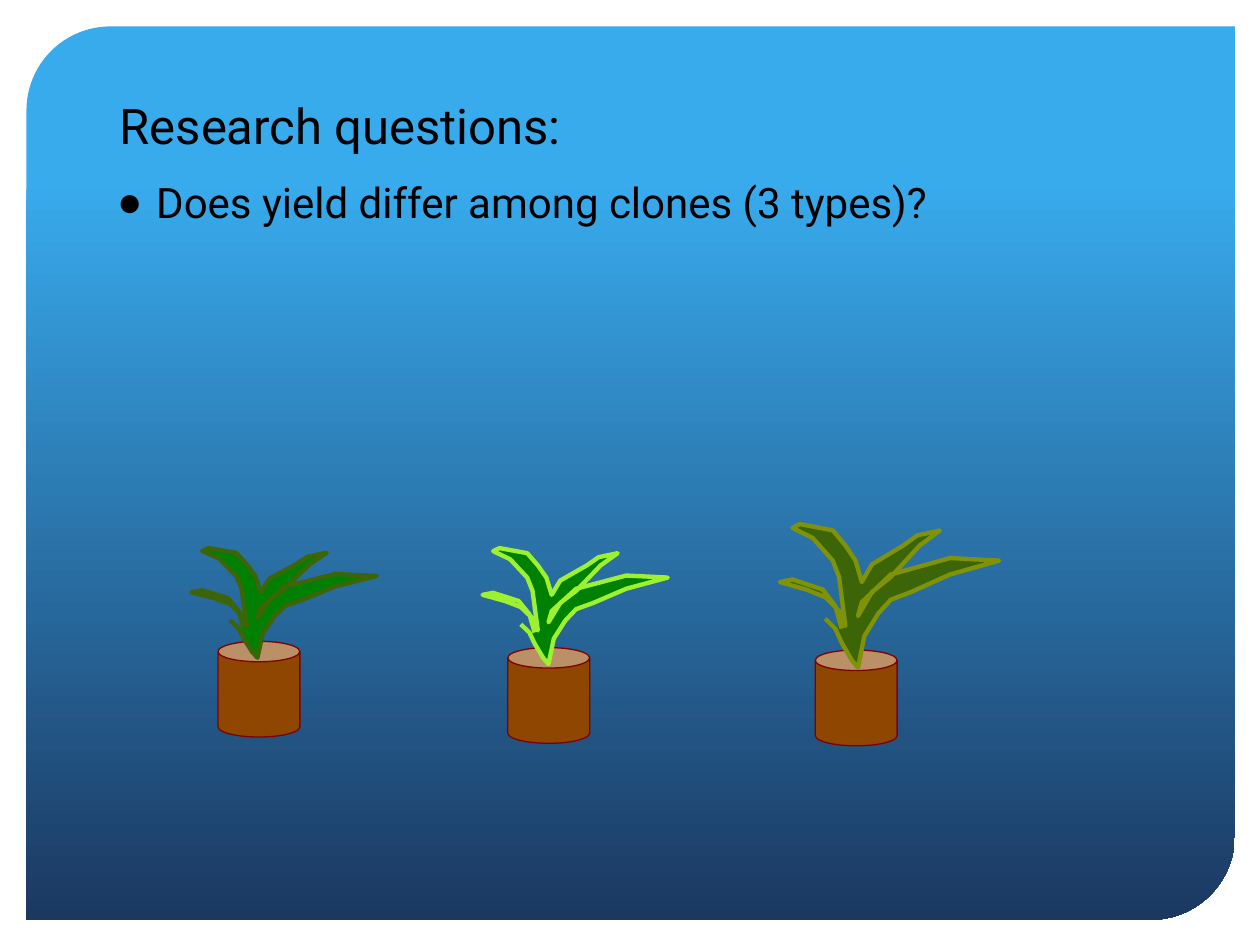
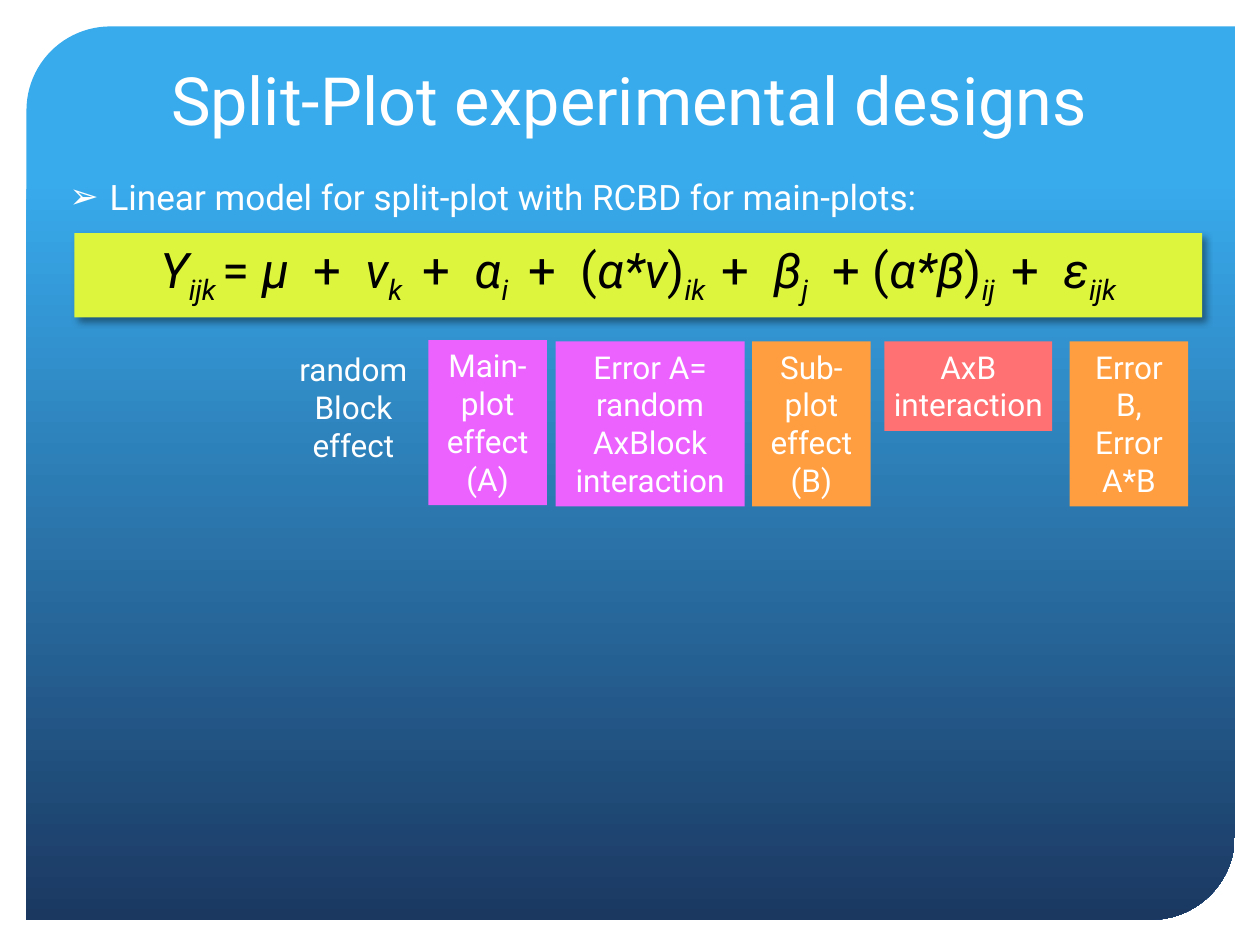
"""Build two slides on split-plot experiments: research question and linear model."""
import dataclasses
import enum
import typing

import lxml.etree
import pptx
import pptx.dml.color
import pptx.enum.shapes
import pptx.enum.text
import pptx.oxml.ns
import pptx.util

Inches = pptx.util.Inches
Pt = pptx.util.Pt
MSO_SHAPE = pptx.enum.shapes.MSO_SHAPE
PP_ALIGN = pptx.enum.text.PP_ALIGN
MSO_ANCHOR = pptx.enum.text.MSO_ANCHOR
qn = pptx.oxml.ns.qn


@dataclasses.dataclass(frozen=True)
class Theme:
    font: str = "Roboto"
    black: str = "000000"
    white: str = "FFFFFF"
    panel_top: str = "38ABED"
    panel_bottom: str = "1B3861"
    pot: str = "8F4600"
    pot_edge: str = "800000"
    leaf: str = "008000"
    olive: str = "3C6507"
    lime: str = "9DF131"
    moss: str = "809207"
    equation: str = "DDF53D"
    main_plot: str = "EB62FF"
    sub_plot: str = "FF9E40"
    interaction: str = "FF7172"
    title_size: int = 38
    heading_size: int = 28
    question_size: int = 24
    list_size: int = 20
    label_size: int = 18


THEME = Theme()


class Box(typing.NamedTuple):
    left: float
    top: float
    width: float
    height: float

    def lengths(self) -> list[int]:
        return [Inches(value) for value in self]


class Plant(typing.NamedTuple):
    pot_left: float
    pot_top: float
    leaves: Box
    fill: str
    edge: str


class Label(typing.NamedTuple):
    box: Box
    lines: tuple[str, ...]
    fill: str | None
    side_inset: float = 0.1


class Bullet(typing.NamedTuple):
    character: str
    level: int
    indent: float
    hanging: float


class Term(enum.Enum):
    """Equation run kinds as italic, subscript and extra spacing in points."""
    VARIABLE = (True, False, 0)
    SIGN = (False, False, 0)
    INDEX = (True, True, 0)
    WIDE = (False, False, 7)
    MEDIUM = (False, False, 4.6)
    NARROW = (False, False, 2.3)


TITLE_BOX = Box(0.85, 0.42, 8.29, 1.14)
LEAF_GRID = (174, 114)
LEAF_OUTLINE = (
    (49, 83), (44, 65), (34, 52), (10, 44), (0, 46), (21, 52), (36, 58), (47, 69),
    (52, 81), (47, 42), (42, 29), (26, 11), (10, 3), (16, 0), (42, 5), (52, 17),
    (60, 29), (65, 46), (73, 32), (98, 17), (109, 9), (127, 5), (111, 17), (88, 42),
    (73, 54), (62, 73), (65, 62), (88, 40), (135, 27), (174, 29), (135, 40), (104, 54),
    (88, 60), (78, 71), (67, 89), (62, 114), (57, 108), (49, 94), (44, 83), (36, 75),
)
PLANTS = (
    Plant(1.73, 5.09, Box(1.52, 4.35, 1.47, 0.87), THEME.leaf, THEME.olive),
    Plant(4.03, 5.14, Box(3.83, 4.35, 1.47, 0.92), THEME.leaf, THEME.lime),
    Plant(6.47, 5.16, Box(6.19, 4.16, 1.74, 1.14), THEME.olive, THEME.moss),
)
EQUATION = (
    ("Y", Term.VARIABLE), ("ijk ", Term.INDEX), ("= ", Term.SIGN),
    ("μ", Term.VARIABLE), (" ", Term.WIDE), ("+", Term.SIGN), (" ", Term.WIDE),
    ("ν", Term.VARIABLE), ("k", Term.INDEX), (" ", Term.MEDIUM),
    ("+", Term.SIGN), (" ", Term.WIDE),
    ("α", Term.VARIABLE), ("i", Term.INDEX), (" ", Term.MEDIUM),
    ("+", Term.SIGN), (" ", Term.WIDE), ("(", Term.SIGN),
    ("α*ν", Term.VARIABLE), (")", Term.SIGN), ("ik", Term.INDEX),
    (" ", Term.NARROW), ("+", Term.SIGN), (" ", Term.WIDE),
    ("β", Term.VARIABLE), ("j", Term.INDEX), (" ", Term.WIDE), ("+ (", Term.SIGN),
    ("α*β", Term.VARIABLE), (")", Term.SIGN), ("ij", Term.INDEX),
    (" ", Term.NARROW), ("+", Term.SIGN), (" ", Term.WIDE),
    ("ε", Term.VARIABLE), ("ijk", Term.INDEX),
)
LABELS = (
    Label(Box(2.25, 2.73, 1.11, 1.01), ("random Block effect",), None),
    Label(Box(3.4, 2.7, 0.94, 1.31), ("Main-plot effect (A)",), THEME.main_plot),
    Label(Box(4.41, 2.71, 1.5, 1.31), ("Error A= random AxBlock interaction",), THEME.main_plot),
    Label(Box(5.97, 2.71, 0.94, 1.31), ("Sub-plot effect (B)",), THEME.sub_plot),
    Label(Box(7.02, 2.71, 1.33, 0.71), ("AxB interaction",), THEME.interaction, 0),
    Label(Box(8.49, 2.71, 0.94, 1.31), ("Error B,", "Error", "A*B"), THEME.sub_plot),
)


def rgb(color: str) -> pptx.dml.color.RGBColor:
    return pptx.dml.color.RGBColor.from_string(color)


def format_font(font, size: float, color: str) -> None:
    font.name = THEME.font
    font.size = Pt(size)
    font.color.rgb = rgb(color)


def paint(shape, fill: str, edge: str | None = None, weight: float = 0) -> None:
    shape.shadow.inherit = False
    shape.fill.solid()
    shape.fill.fore_color.rgb = rgb(fill)
    if edge is None:
        shape.line.fill.background()
    else:
        shape.line.color.rgb = rgb(edge)
        shape.line.width = Pt(weight)


def place(shape, box: Box) -> None:
    shape.left, shape.top, shape.width, shape.height = box.lengths()


def prepare_frame(shape, anchor) -> None:
    shape.text_frame.word_wrap = True
    shape.text_frame.auto_size = pptx.enum.text.MSO_AUTO_SIZE.NONE
    shape.text_frame.vertical_anchor = anchor


def set_title(slide, text: str, size: float, color: str, align, anchor) -> None:
    title = slide.shapes.title
    place(title, TITLE_BOX)
    prepare_frame(title, anchor)
    title.text_frame.text = text
    paragraph = title.text_frame.paragraphs[0]
    paragraph.alignment = align
    format_font(paragraph.runs[0].font, size, color)


def set_list_item(slide, box: Box, text: str, bullet: Bullet, size: float, color: str) -> None:
    body = slide.placeholders[1]
    place(body, box)
    prepare_frame(body, MSO_ANCHOR.TOP)
    body.text_frame.text = text
    paragraph = body.text_frame.paragraphs[0]
    paragraph.level = bullet.level
    paragraph.space_before = Pt(0)
    properties = paragraph._p.get_or_add_pPr()
    properties.set("marL", str(Inches(bullet.indent)))
    properties.set("indent", str(-Inches(bullet.hanging)))
    lxml.etree.SubElement(properties, qn("a:buChar"), char=bullet.character)
    format_font(paragraph.runs[0].font, size, color)


def add_master_panel(presentation, slide) -> None:
    panel = slide.shapes.add_shape(
        MSO_SHAPE.ROUND_2_DIAG_RECTANGLE, *Box(0.21, 0.21, 9.59, 7.09).lengths())
    panel.adjustments[0] = 0.094
    panel.adjustments[1] = 0
    panel.shadow.inherit = False
    panel.line.fill.background()
    panel.fill.gradient()
    panel.fill.gradient_angle = 270
    stops = ((0.17, THEME.panel_top), (1, THEME.panel_bottom))
    for stop, (position, color) in zip(panel.fill.gradient_stops, stops):
        stop.position = position
        stop.color.rgb = rgb(color)
    presentation.slide_master.shapes.element.insert(2, panel.element)


def add_plant(slide, plant: Plant) -> None:
    pot_box = Box(plant.pot_left, plant.pot_top, 0.65, 0.76)
    pot = slide.shapes.add_shape(MSO_SHAPE.CAN, *pot_box.lengths())
    paint(pot, THEME.pot, THEME.pot_edge, 0.75)
    box = plant.leaves
    columns, rows = LEAF_GRID
    start, *outline = [
        (Inches(box.left + x * box.width / columns), Inches(box.top + y * box.height / rows))
        for x, y in LEAF_OUTLINE]
    builder = slide.shapes.build_freeform(*start)
    builder.add_line_segments(outline, close=False)
    paint(builder.convert_to_shape(), plant.fill, plant.edge, 2.5)


def add_equation(slide) -> None:
    band = slide.shapes.add_shape(MSO_SHAPE.RECTANGLE, *Box(0.59, 1.85, 8.95, 0.67).lengths())
    paint(band, THEME.equation)
    effects = band.element.spPr.find(qn("a:effectLst"))
    shadow = lxml.etree.SubElement(
        effects, qn("a:outerShdw"), blurRad=str(Pt(4)), dist=str(Pt(3)),
        dir="2700000", algn="tl", rotWithShape="0")
    color = lxml.etree.SubElement(shadow, qn("a:srgbClr"), val=THEME.black)
    lxml.etree.SubElement(color, qn("a:alpha"), val="40000")
    prepare_frame(band, MSO_ANCHOR.TOP)
    paragraph = band.text_frame.paragraphs[0]
    paragraph.alignment = PP_ALIGN.CENTER
    for text, term in EQUATION:
        italic, subscript, spacing = term.value
        run = paragraph.add_run()
        run.text = text
        format_font(run.font, THEME.heading_size, THEME.black)
        run.font.italic = italic
        properties = run._r.get_or_add_rPr()
        if subscript:
            properties.set("baseline", "-25000")
        if spacing:
            properties.set("spc", str(round(spacing * 100)))


def add_label(slide, label: Label) -> None:
    if label.fill is None:
        shape = slide.shapes.add_textbox(*label.box.lengths())
    else:
        shape = slide.shapes.add_shape(MSO_SHAPE.RECTANGLE, *label.box.lengths())
        paint(shape, label.fill)
    prepare_frame(shape, MSO_ANCHOR.TOP)
    frame = shape.text_frame
    frame.margin_left = frame.margin_right = Inches(label.side_inset)
    frame.text = "\n".join(label.lines)
    for paragraph in frame.paragraphs:
        paragraph.alignment = PP_ALIGN.CENTER
        format_font(paragraph.runs[0].font, THEME.label_size, THEME.white)


def build_question_slide(slide) -> None:
    set_title(slide, "Research questions:", THEME.heading_size, THEME.black,
              PP_ALIGN.LEFT, MSO_ANCHOR.MIDDLE)
    set_list_item(slide, Box(0.83, 1.35, 8.29, 4.6), "Does yield differ among clones (3 types)?",
                  Bullet("●", 0, 0.31, 0.31), THEME.question_size, THEME.black)
    for plant in PLANTS:
        add_plant(slide, plant)


def build_model_slide(slide) -> None:
    set_title(slide, "Split-Plot experimental designs", THEME.title_size, THEME.white,
              PP_ALIGN.CENTER, MSO_ANCHOR.TOP)
    set_list_item(slide, Box(0.14, 1.34, 9.36, 4.6),
                  "Linear model for split-plot with RCBD for main-plots:",
                  Bullet("➢", 1, 0.63, 0.32), THEME.list_size, THEME.white)
    add_equation(slide)
    for label in LABELS:
        add_label(slide, label)


def main() -> None:
    presentation = pptx.Presentation()
    presentation.slide_width, presentation.slide_height = Inches(10), Inches(7.5)
    layout = presentation.slide_layouts[1]
    question_slide, model_slide = [presentation.slides.add_slide(layout) for _ in range(2)]
    add_master_panel(presentation, question_slide)
    build_question_slide(question_slide)
    build_model_slide(model_slide)
    presentation.save("out.pptx")


if __name__ == "__main__":
    main()
